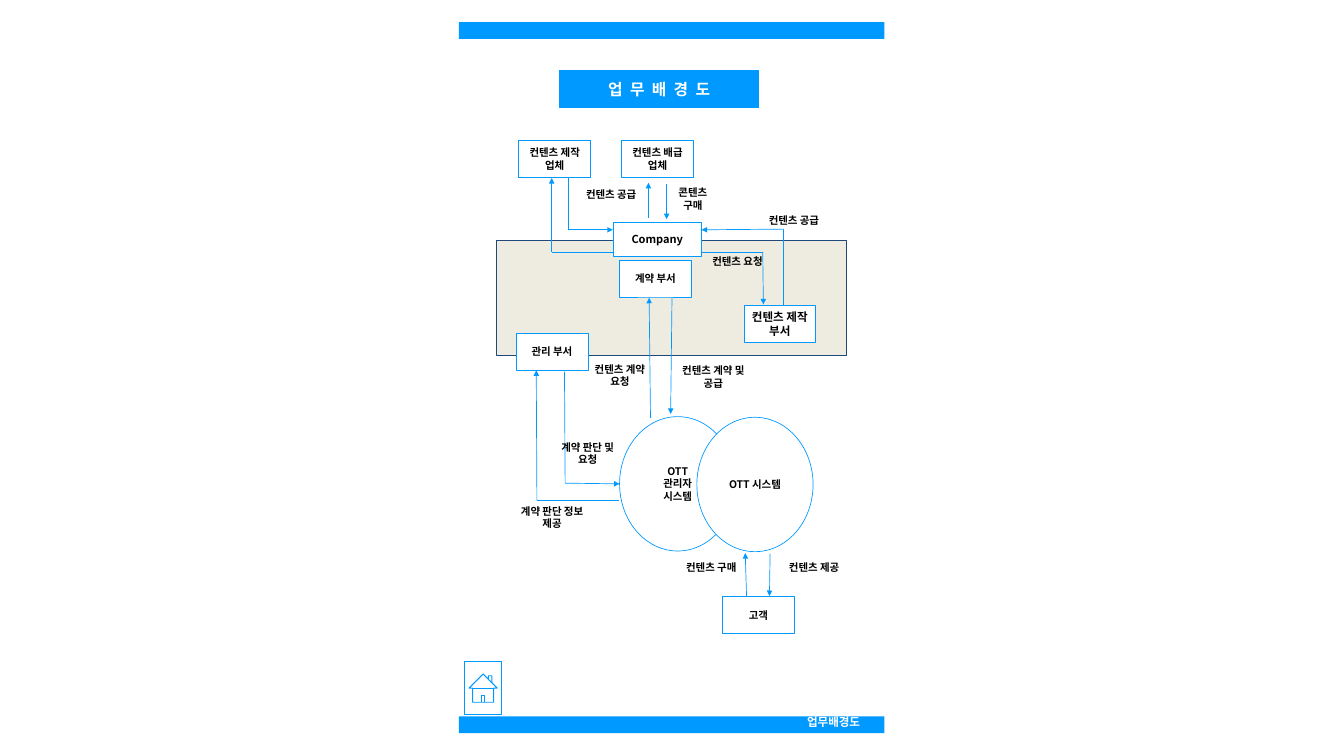
from dataclasses import dataclass
from itertools import pairwise

import pptx
import pptx.dml.color
import pptx.enum.shapes
import pptx.enum.text
import pptx.oxml.ns
import pptx.util
from lxml import etree

Inches = pptx.util.Inches
Shape = pptx.enum.shapes.MSO_SHAPE
Anchor = pptx.enum.text.MSO_ANCHOR
Align = pptx.enum.text.PP_ALIGN

COLORS = {"blue": "0099FF", "panel": "EEECE1", "navy": "1F497D", "white": "FFFFFF", "black": "000000"}
FONT = "Noto Sans CJK KR"
BOX_SIZE = (1.07, 0.55)
OVAL_SIZE = (1.73, 2)
LABEL_WIDTH = 1.13
LINE_HEIGHTS = {1: 0.28, 2: 0.47}


@dataclass
class Block:
    left: float
    top: float
    width: float
    height: float
    text: str = ""
    kind: Shape = Shape.RECTANGLE
    fill: str | None = "white"
    line: str | None = "blue"
    weight: float = 0.75
    size: float = 11.2
    font: str = FONT
    color: str = "black"
    spacing: int = 0


@dataclass
class Label:
    left: float
    top: float
    text: str
    lines: int = 1
    width: float = LABEL_WIDTH


@dataclass
class Flow:
    """A route through points, with an arrowhead at its last point."""
    points: list[tuple[float, float]]


def rgb(name: str) -> pptx.dml.color.RGBColor:
    return pptx.dml.color.RGBColor.from_string(COLORS[name])


def write_text(box, text: str, size: float = 11.2, font: str = FONT, color: str = "black",
               align: Align = Align.CENTER, spacing: int = 0) -> None:
    frame = box.text_frame
    frame.word_wrap = True
    formats = {"size": pptx.util.Pt(size), "name": font, "bold": True}
    for index, line in enumerate(text.split("\n")):
        para = frame.paragraphs[0] if index == 0 else frame.add_paragraph()
        para.alignment = align
        span = para.add_run()
        span.text = line
        for name, value in formats.items():
            setattr(span.font, name, value)
        span.font.color.rgb = rgb(color)
        properties = span.font._element
        east_asian = etree.SubElement(properties, pptx.oxml.ns.qn("a:ea"))
        east_asian.set("typeface", font)
        if spacing:
            properties.set("spc", str(spacing))


def draw_block(page, block: Block) -> None:
    box = page.shapes.add_shape(
        block.kind, *map(Inches, (block.left, block.top, block.width, block.height)))
    box.shadow.inherit = False
    if block.fill:
        box.fill.solid()
        box.fill.fore_color.rgb = rgb(block.fill)
    else:
        box.fill.background()
    if block.line:
        box.line.color.rgb = rgb(block.line)
        box.line.width = pptx.util.Pt(block.weight)
    else:
        box.line.fill.background()
    if block.text:
        box.text_frame.vertical_anchor = Anchor.MIDDLE
        margin = 0.09 if block.kind == Shape.RECTANGLE else 0.1
        box.text_frame.margin_left = box.text_frame.margin_right = Inches(margin)
        write_text(box, block.text, block.size, block.font, block.color, spacing=block.spacing)


def draw_label(page, label: Label, **style) -> None:
    height = LINE_HEIGHTS[label.lines]
    box = page.shapes.add_textbox(*map(Inches, (label.left, label.top, label.width, height)))
    margins = {"margin_left": 0.09, "margin_right": 0.09, "margin_top": 0.05, "margin_bottom": 0.05}
    for name, value in margins.items():
        setattr(box.text_frame, name, Inches(value))
    write_text(box, label.text, **style)
    box.text_frame.auto_size = pptx.enum.text.MSO_AUTO_SIZE.SHAPE_TO_FIT_TEXT


def draw_flow(page, flow: Flow) -> None:
    for start, end in pairwise(flow.points):
        line = page.shapes.add_connector(
            pptx.enum.shapes.MSO_CONNECTOR.STRAIGHT, *map(Inches, (*start, *end)))
        line.line.color.rgb = rgb("blue")
        line.line.width = pptx.util.Pt(0.75)
        if end == flow.points[-1]:
            outline = line.line._get_or_add_ln()
            etree.SubElement(outline, pptx.oxml.ns.qn("a:tailEnd")).set("type", "triangle")
        etree.SubElement(line._element.spPr, pptx.oxml.ns.qn("a:effectLst"))


BLOCKS = [
    # Company area and title
    Block(7.39, 3.58, 5.21, 1.71, fill="panel", line="navy"),
    Block(8.33, 1.05, 2.96, 0.55, "업 무 배 경 도", fill="blue", size=16.9, color="white", spacing=200),
    # Parties and departments
    Block(9.22, 3.87, *BOX_SIZE, "계약 부서"),
    Block(9.12, 3.31, 1.32, 0.51, "Company", size=11.8),
    Block(7.68, 4.96, *BOX_SIZE, "관리 부서"),
    Block(9.25, 2.09, *BOX_SIZE, "컨텐츠 배급 업체", fill=None),
    Block(7.72, 2.09, *BOX_SIZE, "컨텐츠 제작 업체", fill=None),
    Block(11.07, 4.54, *BOX_SIZE, "컨텐츠 제작 부서", size=12.4, font="Calibri"),
    Block(10.75, 8.88, *BOX_SIZE, "고객"),
    # Systems, the second overlapping the first
    Block(9.22, 6.2, *OVAL_SIZE, "OTT\n관리자\n시스템", kind=Shape.OVAL, fill=None),
    Block(10.37, 6.21, *OVAL_SIZE, "OTT 시스템", kind=Shape.OVAL),
    # Header bar, footer bar and home button
    Block(6.83, 0.33, 6.33, 0.25, fill="blue", line=None),
    Block(6.83, 10.66, 6.33, 0.25, fill="blue", line=None),
    Block(6.91, 9.85, 0.56, 0.78, kind=Shape.ACTION_BUTTON_HOME, fill=None, weight=1),
]

FLOWS = [
    # Company with production and distribution firms
    Flow([(9.12, 3.75), (8.21, 3.75), (8.21, 2.65)]),
    Flow([(8.46, 2.65), (8.46, 3.42), (9.12, 3.42)]),
    Flow([(9.65, 3.24), (9.65, 2.72)]),
    Flow([(9.92, 2.74), (9.92, 3.26)]),
    # Company with the production department
    Flow([(10.44, 3.75), (11.35, 3.75), (11.36, 4.53)]),
    Flow([(11.66, 4.54), (11.66, 3.41), (10.44, 3.42)]),
    # Departments with the manager system
    Flow([(9.68, 6.22), (9.66, 4.43)]),
    Flow([(10, 4.43), (9.98, 6.16)]),
    Flow([(8.4, 5.53), (8.41, 7.19), (9.22, 7.2)]),
    Flow([(9.21, 7.45), (7.99, 7.45), (7.98, 5.51)]),
    # Customer with the service system
    Flow([(11.11, 8.88), (11.09, 8.23)]),
    Flow([(11.46, 8.24), (11.45, 8.87)]),
]

LABELS = [
    Label(8.53, 2.75, "컨텐츠 공급"),
    Label(9.9, 2.72, "콘텐츠 구매", lines=2, width=0.82),
    Label(11.25, 3.13, "컨텐츠 공급"),
    Label(10.41, 3.75, "컨텐츠 요청"),
    Label(8.66, 5.35, "컨텐츠 계약 요청", lines=2),
    Label(10.05, 5.37, "컨텐츠 계약 및 공급", lines=2),
    Label(8.18, 6.51, "계약 판단 및 요청", lines=2),
    Label(7.65, 7.46, "계약 판단 정보 제공", lines=2),
    Label(10.02, 8.3, "컨텐츠 구매"),
    Label(11.55, 8.3, "컨텐츠 제공"),
]


def main() -> None:
    deck = pptx.Presentation()
    deck.slide_width, deck.slide_height = Inches(20), Inches(11.25)
    page = deck.slides.add_slide(deck.slide_layouts[6])
    for block in BLOCKS:
        draw_block(page, block)
    for flow in FLOWS:
        draw_flow(page, flow)
    for label in LABELS:
        draw_label(page, label)
    # Footer caption
    draw_label(page, Label(11.92, 10.59, "업무배경도", width=1.18),
               size=12.4, color="white", align=Align.LEFT)
    deck.save("out.pptx")


if __name__ == "__main__":
    main()
